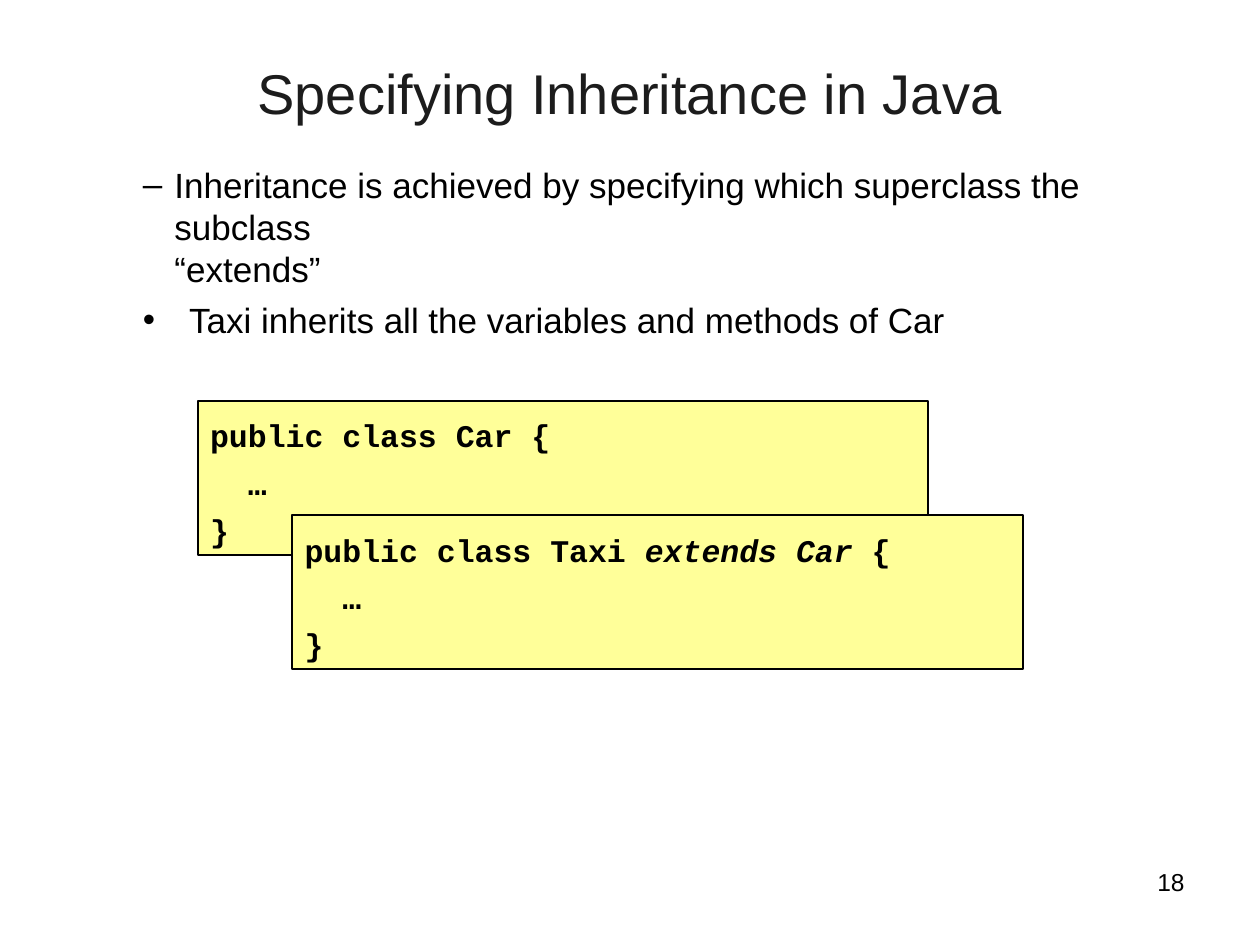
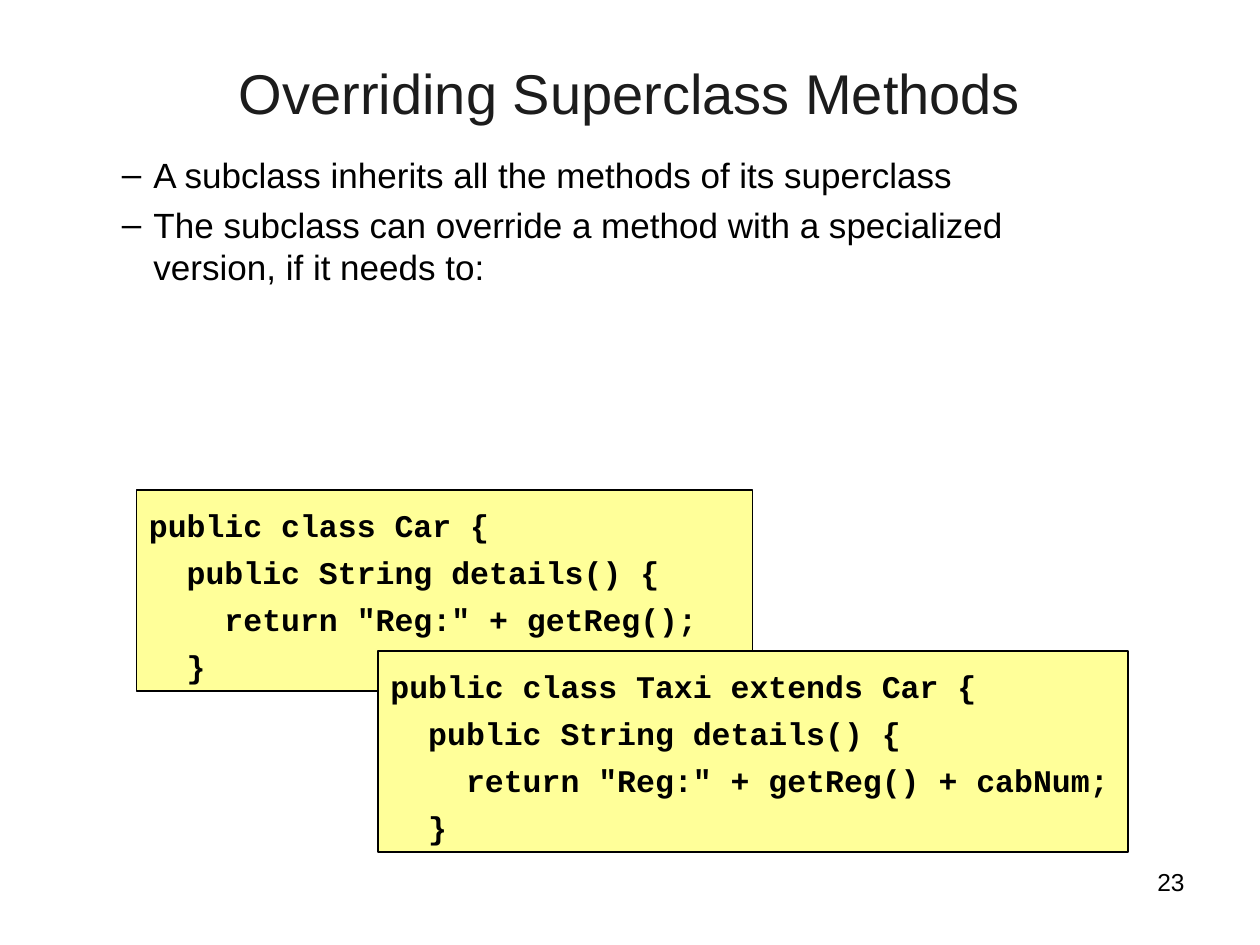
from pptx import Presentation
from pptx.dml.color import RGBColor
from pptx.enum.shapes import MSO_SHAPE
from pptx.enum.text import MSO_ANCHOR, MSO_AUTO_SIZE, PP_ALIGN
from pptx.oxml.ns import qn
from pptx.util import Pt
from lxml.etree import SubElement

BLACK, TITLE_GREY, CODE_YELLOW = "000000", "1C1C1C", "FFFF99"
TITLE_FONT = {"name": "Arial", "size": Pt(32)}
BODY_FONT = {"name": "Arial", "size": Pt(20)}
NUMBER_FONT = {"name": "Arial", "size": Pt(14)}
CODE_FONT = {"name": "Courier New", "size": Pt(18), "bold": True}
CODE_STEP = 21.6  # two characters of 18 pt code
FRAME = {
    "word_wrap": True, "auto_size": MSO_AUTO_SIZE.NONE,
    "vertical_anchor": MSO_ANCHOR.TOP,
    "margin_left": Pt(7.2), "margin_right": Pt(7.2),
    "margin_top": Pt(3.6), "margin_bottom": Pt(3.6),
}
DASH = ("–", 26.64, -18)
DOT = ("•", 35, -26.36)


def rgb(value):
    """Turn a hex string into a colour."""
    return RGBColor.from_string(value)


def apply(target, values):
    """Set every attribute named in a dict of format values."""
    for name, value in values.items():
        setattr(target, name, value)


def add_run(paragraph, text, font, color=BLACK):
    """Append formatted text, with line breaks where it has newlines."""
    for index, line in enumerate(text.split("\n")):
        if index:
            paragraph.add_line_break()
        run = paragraph.add_run()
        run.text = line
        apply(run.font, font)
        run.font.color.rgb = rgb(color)
    return run


def set_indent(paragraph, left, first=0):
    """Set the left margin and first-line indent of a paragraph."""
    properties = paragraph._p.get_or_add_pPr()
    properties.set("marL", str(Pt(left)))
    properties.set("indent", str(Pt(first)))
    return properties


def next_paragraph(frame, index):
    """Return the first paragraph of a frame, or a new one after it."""
    return frame.add_paragraph() if index else frame.paragraphs[0]


def add_text_box(slide, left, top, width, height):
    """Add a text box with the shared frame and return its frame."""
    frame = slide.shapes.add_textbox(Pt(left), Pt(top), Pt(width), Pt(height)).text_frame
    apply(frame, FRAME)
    return frame


def add_slide(presentation, title, number):
    """Add a title-only slide with its title and page number."""
    slide = presentation.slides.add_slide(presentation.slide_layouts[5])
    shape = slide.shapes.title
    apply(shape, {"left": Pt(54), "top": Pt(30), "width": Pt(612), "height": Pt(90)})
    apply(shape.text_frame, FRAME)
    paragraph = shape.text_frame.paragraphs[0]
    paragraph.alignment = PP_ALIGN.CENTER
    add_run(paragraph, title, TITLE_FONT, TITLE_GREY)

    paragraph = add_text_box(slide, 516, 492, 168, 37.5).paragraphs[0]
    paragraph.alignment = PP_ALIGN.RIGHT
    add_run(paragraph, str(number), NUMBER_FONT)
    return slide


def add_points(slide, left, top, height, points):
    """Add the bulleted text, given as (bullet, text) pairs."""
    frame = add_text_box(slide, left, top, 593, height)
    for index, ((mark, margin, first), text) in enumerate(points):
        paragraph = next_paragraph(frame, index)
        paragraph.space_before = Pt(5)
        properties = set_indent(paragraph, margin, first)
        SubElement(properties, qn("a:buFont"), typeface="Arial")
        SubElement(properties, qn("a:buChar"), char=mark)
        add_run(paragraph, text, BODY_FONT)


def add_code(slide, left, top, width, height, lines):
    """Add a code box, given as (depth, text, ...) lines; odd parts are italic."""
    shape = slide.shapes.add_shape(MSO_SHAPE.RECTANGLE, Pt(left), Pt(top), Pt(width), Pt(height))
    shape.shadow.inherit = False
    shape.fill.solid()
    shape.fill.fore_color.rgb = rgb(CODE_YELLOW)
    shape.line.color.rgb = rgb(BLACK)
    shape.line.width = Pt(1)
    apply(shape.text_frame, FRAME)
    for index, (depth, *parts) in enumerate(lines):
        paragraph = next_paragraph(shape.text_frame, index)
        apply(paragraph, {"alignment": PP_ALIGN.LEFT, "line_spacing": 1.25})
        set_indent(paragraph, depth * CODE_STEP)
        for position, part in enumerate(parts):
            add_run(paragraph, part, CODE_FONT).font.italic = position % 2 == 1


def details_method(header, result):
    """Return the code lines of a class that has a details method."""
    return [(0, header), (1, "public String details() {"), (2, f"return {result};"), (1, "}")]


def add_inheritance_slide(presentation):
    """Build the slide on specifying inheritance."""
    slide = add_slide(presentation, "Specifying Inheritance in Java", 18)
    add_points(slide, 66, 90, 108, [
        (DASH, "Inheritance is achieved by specifying which superclass the subclass\n“extends”"),
        (DOT, "Taxi inherits all the variables and methods of Car"),
    ])
    body = [(1, "…"), (0, "}")]
    add_code(slide, 113, 229, 417.5, 88, [(0, "public class Car {"), *body])
    add_code(slide, 167, 294.5, 417.5, 88,
             [(0, "public class Taxi ", "extends Car", " {"), *body])


def add_overriding_slide(presentation):
    """Build the slide on overriding methods."""
    slide = add_slide(presentation, "Overriding Superclass Methods", 23)
    add_points(slide, 54, 84, 84, [
        (DASH, "A subclass inherits all the methods of its superclass"),
        (DASH, "The subclass can override a method with a specialized version, if it needs to:"),
    ])
    add_code(slide, 78, 280, 352, 115,
             details_method("public class Car {", '"Reg:" + getReg()'))
    add_code(slide, 216, 372, 428.5, 115,
             details_method("public class Taxi extends Car {", '"Reg:" + getReg() + cabNum'))


def main():
    """Build and save the presentation."""
    presentation = Presentation()
    apply(presentation, {"slide_width": Pt(720), "slide_height": Pt(540)})
    add_inheritance_slide(presentation)
    add_overriding_slide(presentation)
    presentation.save("out.pptx")


main()
